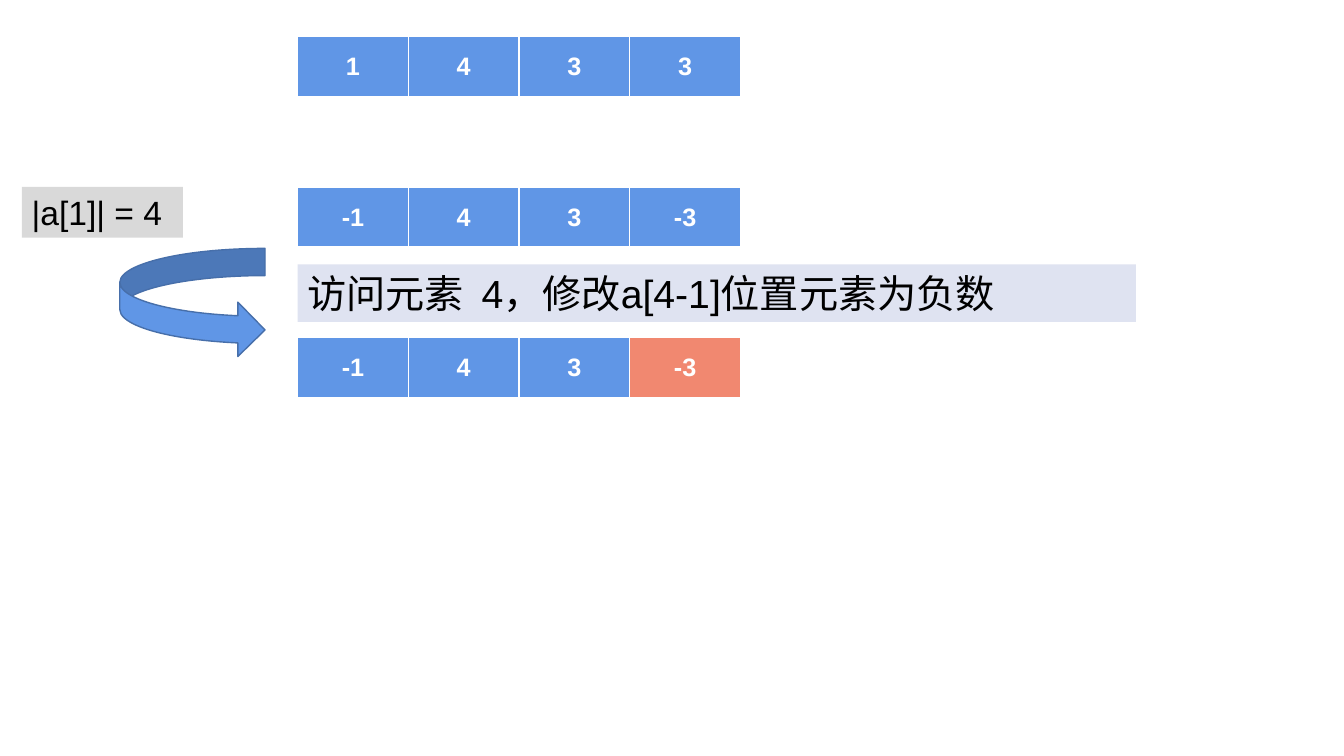
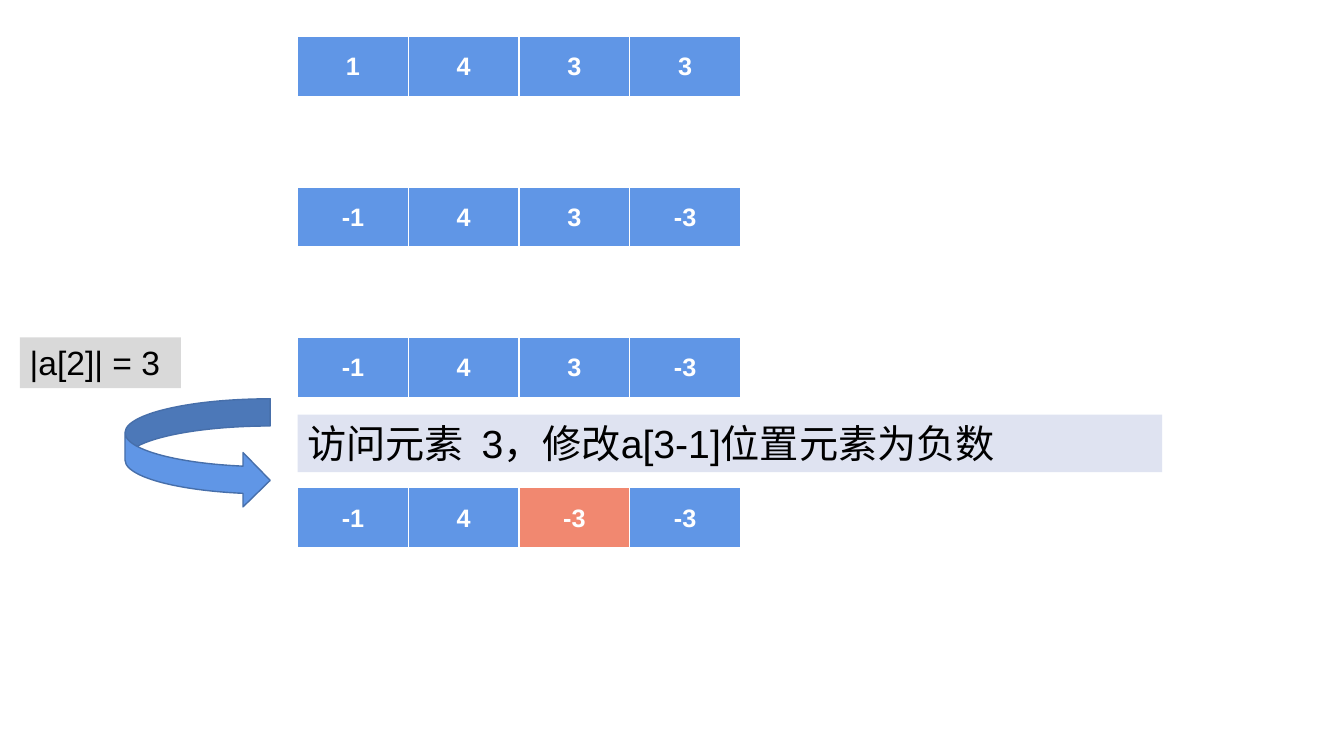
import pptx
import pptx.dml.color
import pptx.enum.shapes
import pptx.enum.text
import pptx.oxml
import pptx.oxml.ns
import pptx.util
from dataclasses import dataclass

Cm = pptx.util.Cm
Pt = pptx.util.Pt


@dataclass(frozen=True)
class Theme:
    font: str = "Arial"
    cell: str = "6096E6"
    changed_cell: str = "F18870"
    arrow_line: str = "476FAA"
    note: str = "DFE3F1"
    label: str = "D9D9D9"
    light: str = "FFFFFF"
    dark: str = "000000"
    cell_size: int = 18
    label_size: int = 24
    note_size: int = 28


theme = Theme()
rgb = pptx.dml.color.RGBColor.from_string

# Geometry in centimetres
array_left, array_top, row_pitch = 7.5, 0.92, 3.79
cell_width, cell_height = 2.79, 1.54
border_widths = {"L": 1, "R": 1, "T": 1, "B": 3}

# Array after each step, and the visit each slide explains
states = [[1, 4, 3, 3], [-1, 4, 3, -3], [-1, 4, 3, -3], [-1, 4, -3, -3]]
visits = [
    {"index": 1, "value": 4, "label_left": 0.55, "arrow_left": 3.02, "note_width": 21.13},
    {"index": 2, "value": 3, "label_left": 0.5, "arrow_left": 3.15, "note_width": 21.79},
]


def style_text(paragraph, size, color, bold=False):
    for run in paragraph.runs:
        run.font.name = theme.font
        run.font.size = Pt(size)
        run.font.bold = bold
        run.font.color.rgb = rgb(color)


def add_box(slide, text, left, top, width, height, fill, size):
    box = slide.shapes.add_textbox(Cm(left), Cm(top), Cm(width), Cm(height))
    box.fill.solid()
    box.fill.fore_color.rgb = rgb(fill)
    box.text_frame.word_wrap = True
    box.text_frame.auto_size = pptx.enum.text.MSO_AUTO_SIZE.SHAPE_TO_FIT_TEXT
    box.text_frame.text = text
    style_text(box.text_frame.paragraphs[0], size, theme.dark)


presentation = pptx.Presentation()
presentation.slide_width = Cm(33.87)
presentation.slide_height = Cm(19.05)

for visit in visits:
    slide = presentation.slides.add_slide(presentation.slide_layouts[6])
    index, value = visit["index"], visit["value"]
    last_row = index + 1

    # Arrays, with the element changed by this visit highlighted
    for row, state in enumerate(states[:last_row + 1]):
        table = slide.shapes.add_table(
            1, len(state), Cm(array_left), Cm(array_top + row * row_pitch),
            Cm(cell_width * len(state)), Cm(cell_height)).table
        table.horz_banding = False
        for position, number in enumerate(state):
            cell = table.cell(0, position)
            cell.text_frame.text = str(number)
            cell.vertical_anchor = pptx.enum.text.MSO_ANCHOR.MIDDLE
            paragraph = cell.text_frame.paragraphs[0]
            paragraph.alignment = pptx.enum.text.PP_ALIGN.CENTER
            style_text(paragraph, theme.cell_size, theme.light, bold=True)
            properties = cell._tc.get_or_add_tcPr()
            for side, width in border_widths.items():
                properties.append(pptx.oxml.parse_xml(
                    f'<a:ln{side} {pptx.oxml.ns.nsdecls("a")} w="{Pt(width)}">'
                    f'<a:solidFill><a:srgbClr val="{theme.light}"/></a:solidFill>'
                    f'</a:ln{side}>'))
            changed = row == last_row and position == value - 1
            cell.fill.solid()
            cell.fill.fore_color.rgb = rgb(theme.changed_cell if changed else theme.cell)

    # Arrow from the visited array to the next one
    visit_top = array_top + index * row_pitch
    arrow = slide.shapes.add_shape(
        pptx.enum.shapes.MSO_SHAPE.CURVED_RIGHT_ARROW,
        Cm(visit["arrow_left"]), Cm(visit_top + 1.55), Cm(3.66), Cm(2.74))
    arrow.shadow.inherit = False
    arrow.fill.solid()
    arrow.fill.fore_color.rgb = rgb(theme.cell)
    arrow.line.color.rgb = rgb(theme.arrow_line)
    arrow.line.width = Pt(1)

    # Explanation and label
    add_box(slide, f"访问元素  {value}，修改a[{value}-1]位置元素为负数",
            array_left, visit_top + 1.95, visit["note_width"], 1.45,
            theme.note, theme.note_size)
    add_box(slide, f"|a[{index}]| = {value}",
            visit["label_left"], visit_top, 4.06, 1.28,
            theme.label, theme.label_size)

presentation.save("out.pptx")
